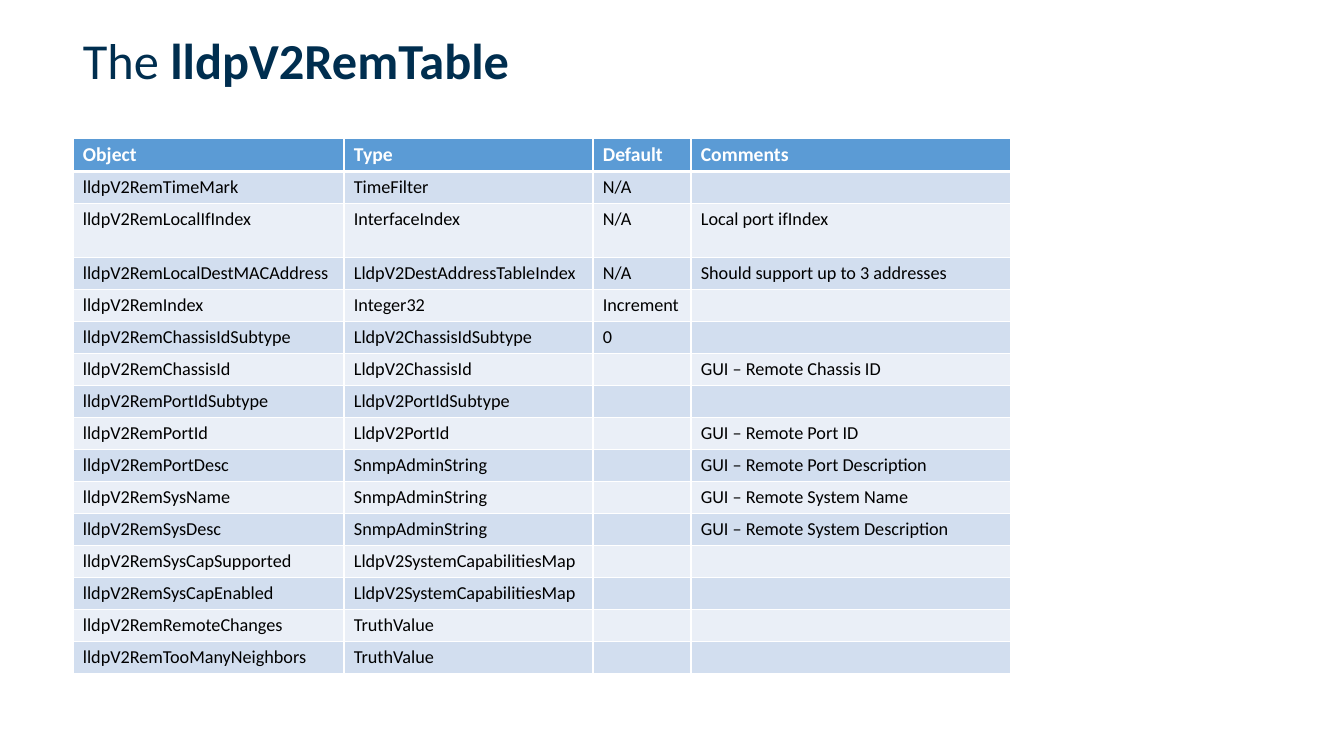
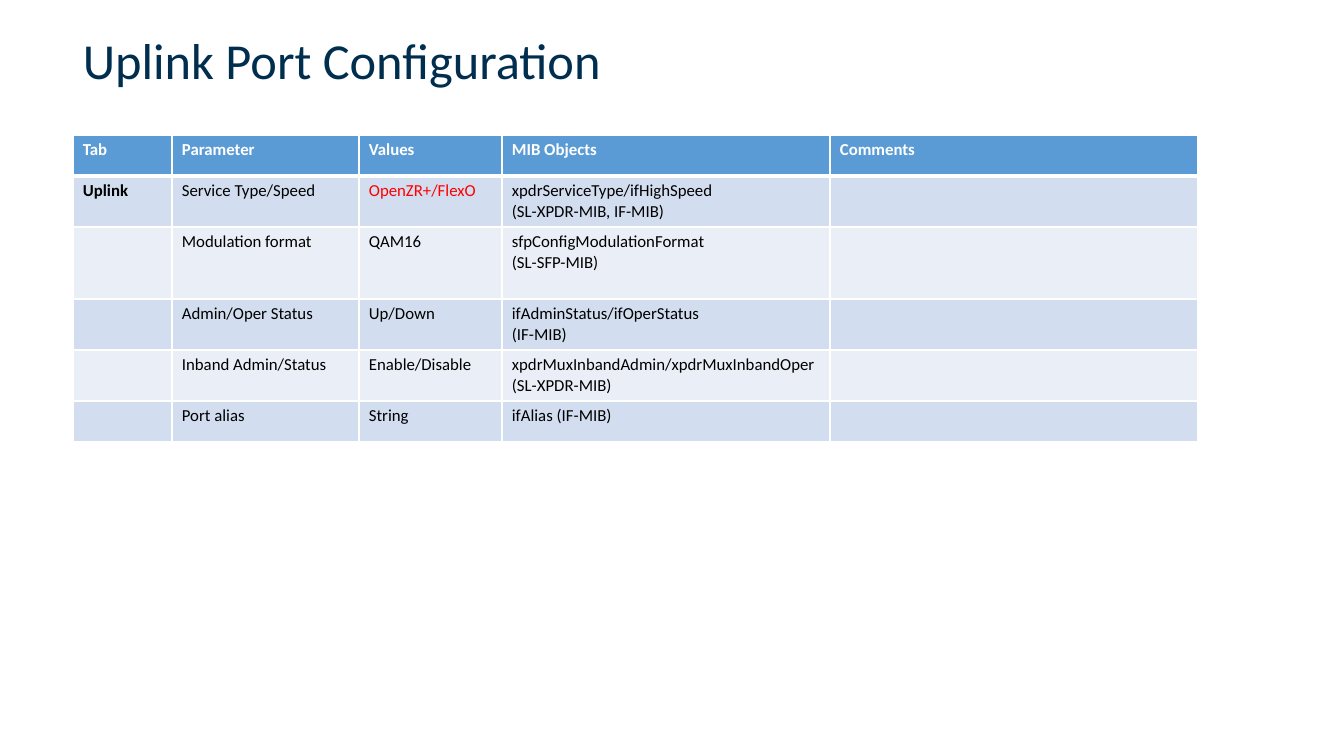
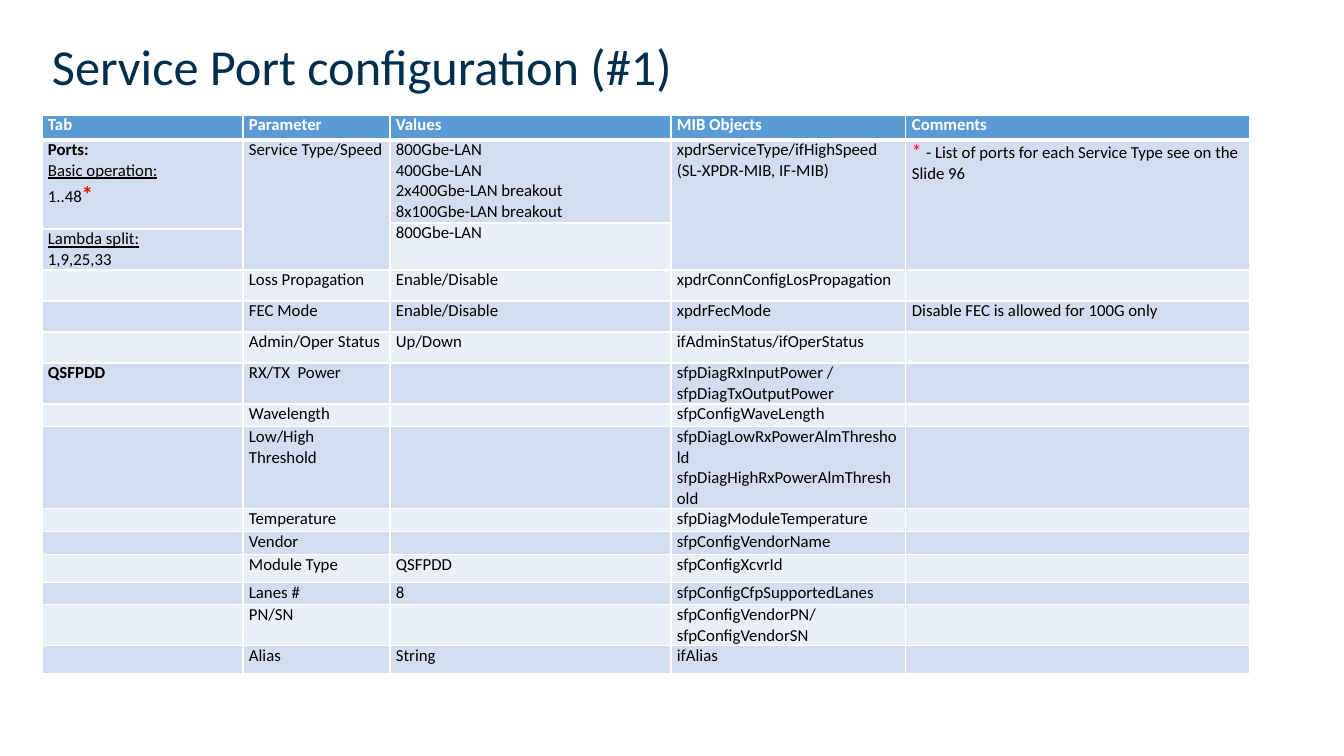
from lxml import etree
from pptx import Presentation
from pptx.dml.color import RGBColor
from pptx.enum.text import MSO_ANCHOR
from pptx.oxml.ns import qn
from pptx.util import Pt

# Shared style
FONT = "Calibri"
NAVY = RGBColor(0x00, 0x2E, 0x4F)
WHITE = RGBColor(0xFF, 0xFF, 0xFF)
BLACK = RGBColor(0x00, 0x00, 0x00)
RED = RGBColor(0xFF, 0x00, 0x00)
HEADER_BLUE = RGBColor(0x5B, 0x9B, 0xD5)
BANDS = (RGBColor(0xEA, 0xEF, 0xF7), RGBColor(0xD2, 0xDE, 0xEF))

SLIDE_WIDTH, SLIDE_HEIGHT = 1344, 756
TITLE_WIDTH, TITLE_SIZE = 1103, 36
EMU_PER_PX = 12192000 / SLIDE_WIDTH

# Table contents: a cell is a string (one paragraph a line)
# or a list of paragraphs, each a list of (text, format) runs
REMOTE_ROWS = [
    ("Object", "Type", "Default", "Comments"),
    ("lldpV2RemTimeMark", "TimeFilter", "N/A", ""),
    ("lldpV2RemLocalIfIndex", "InterfaceIndex", "N/A", "Local port ifIndex"),
    ("lldpV2RemLocalDestMACAddress", "LldpV2DestAddressTableIndex", "N/A",
     "Should support up to 3 addresses"),
    ("lldpV2RemIndex", "Integer32", "Increment", ""),
    ("lldpV2RemChassisIdSubtype", "LldpV2ChassisIdSubtype", "0", ""),
    ("lldpV2RemChassisId", "LldpV2ChassisId", "", "GUI – Remote Chassis ID"),
    ("lldpV2RemPortIdSubtype", "LldpV2PortIdSubtype", "", ""),
    ("lldpV2RemPortId", "LldpV2PortId", "", "GUI – Remote Port ID"),
    ("lldpV2RemPortDesc", "SnmpAdminString", "", "GUI – Remote Port Description"),
    ("lldpV2RemSysName", "SnmpAdminString", "", "GUI – Remote System Name"),
    ("lldpV2RemSysDesc", "SnmpAdminString", "", "GUI – Remote System Description"),
    ("lldpV2RemSysCapSupported", "LldpV2SystemCapabilitiesMap", "", ""),
    ("lldpV2RemSysCapEnabled", "LldpV2SystemCapabilitiesMap", "", ""),
    ("lldpV2RemRemoteChanges", "TruthValue", "", ""),
    ("lldpV2RemTooManyNeighbors", "TruthValue", "", ""),
]

CONFIG_HEADER = ("Tab", "Parameter", "Values", "MIB Objects", "Comments")

UPLINK_ROWS = [
    CONFIG_HEADER,
    ([[("Uplink", {"bold": True})]], "Service Type/Speed",
     [[("OpenZR+/FlexO", {"color": RED})]],
     "xpdrServiceType/ifHighSpeed\n(SL-XPDR-MIB, IF-MIB)", ""),
    ("", "Modulation format", "QAM16", "sfpConfigModulationFormat\n(SL-SFP-MIB)", ""),
    ("", "Admin/Oper Status", "Up/Down", "ifAdminStatus/ifOperStatus\n(IF-MIB)", ""),
    ("", "Inband Admin/Status", "Enable/Disable",
     "xpdrMuxInbandAdmin/xpdrMuxInbandOper\n(SL-XPDR-MIB)", ""),
    ("", "Port alias", "String", "ifAlias (IF-MIB)", ""),
]

BASIC_PORTS = [
    [("Ports:", {"bold": True})],
    [("Basic operation:", {"underline": True})],
    [("1..48", {}), ("*", {"size": 16, "bold": True, "color": RED})],
]
LAMBDA_PORTS = [[("Lambda split:", {"underline": True})], [("1,9,25,33", {})]]
PORTS_NOTE = [[("* ", {"size": 14, "color": RED}),
               ("- List of ports for each Service Type see on the Slide 96", {})]]

SERVICE_ROWS = [
    CONFIG_HEADER,
    (BASIC_PORTS, "Service Type/Speed",
     "800Gbe-LAN\n400Gbe-LAN\n2x400Gbe-LAN breakout\n8x100Gbe-LAN breakout",
     "xpdrServiceType/ifHighSpeed\n(SL-XPDR-MIB, IF-MIB)", PORTS_NOTE),
    ("", "", "800Gbe-LAN", "", ""),
    (LAMBDA_PORTS, "", "", "", ""),
    ("", "Loss Propagation", "Enable/Disable", "xpdrConnConfigLosPropagation", ""),
    ("", "FEC Mode", "Enable/Disable", "xpdrFecMode",
     "Disable FEC is allowed for 100G only"),
    ("", "Admin/Oper Status", "Up/Down", "ifAdminStatus/ifOperStatus", ""),
    ([[("QSFPDD", {"bold": True})]], "RX/TX  Power", "",
     "sfpDiagRxInputPower / sfpDiagTxOutputPower", ""),
    ("", "Wavelength", "", "sfpConfigWaveLength", ""),
    ("", "Low/High Threshold", "",
     "sfpDiagLowRxPowerAlmThreshold sfpDiagHighRxPowerAlmThreshold", ""),
    ("", "Temperature", "", "sfpDiagModuleTemperature", ""),
    ("", "Vendor", "", "sfpConfigVendorName", ""),
    ("", "Module Type", "QSFPDD", "sfpConfigXcvrId", ""),
    ("", "Lanes #", "8", "sfpConfigCfpSupportedLanes", ""),
    ("", "PN/SN", "", "sfpConfigVendorPN/sfpConfigVendorSN", ""),
    ("", "Alias", "String", "ifAlias", ""),
]
# (first row, last row, column) of cells joined downwards
SERVICE_SPANS = [(1, 2, 0), (1, 3, 1), (2, 3, 2), (1, 3, 3), (1, 3, 4)]


def px(length):
    return round(length * EMU_PER_PX)


def write(frame, text, **base):
    """Fill a text frame; each run may override the base format."""
    if isinstance(text, str):
        text = [[(line, {})] for line in text.split("\n")]
    for index, runs in enumerate(text):
        paragraph = frame.paragraphs[0] if index == 0 else frame.add_paragraph()
        for words, changes in runs:
            look = {"bold": False, "underline": False, **base, **changes}
            if not words:
                # An empty cell still needs its line height
                end = etree.SubElement(paragraph._p, qn("a:endParaRPr"))
                end.set("sz", str(look["size"] * 100))
                continue
            run = paragraph.add_run()
            run.text = words
            run.font.name = FONT
            run.font.size = Pt(look["size"])
            run.font.bold = look["bold"]
            run.font.underline = look["underline"]
            run.font.color.rgb = look["color"]


def add_title(slide, text, left, top, height):
    title = slide.shapes.add_textbox(px(left), px(top), px(TITLE_WIDTH), px(height))
    frame = title.text_frame
    frame.word_wrap = True
    frame.vertical_anchor = MSO_ANCHOR.MIDDLE
    write(frame, text, size=TITLE_SIZE, color=NAVY)


def set_borders(cell, top=1, bottom=1):
    """White borders, widths in points; they stand before the fill."""
    properties = cell._tc.get_or_add_tcPr()
    sides = (("L", 1), ("R", 1), ("T", top), ("B", bottom))
    for index, (side, width) in enumerate(sides):
        line = etree.Element(qn(f"a:ln{side}"), w=str(Pt(width)))
        fill = etree.SubElement(line, qn("a:solidFill"))
        etree.SubElement(fill, qn("a:srgbClr"), val=str(WHITE))
        properties.insert(index, line)


def add_grid(slide, rows, left, top, widths, heights,
             size, header_size, margins=(10, 5), spans=()):
    table = slide.shapes.add_table(
        len(rows), len(widths), px(left), px(top),
        px(sum(widths)), px(sum(heights))).table
    table.horz_banding = False
    for column, width in zip(table.columns, widths):
        column.width = px(width)
    for row, height in zip(table.rows, heights):
        row.height = px(height)
    for first, last, column in spans:
        table.cell(first, column).merge(table.cell(last, column))

    side, edge = (px(margin) for margin in margins)
    for r, contents in enumerate(rows):
        header = r == 0
        for c, text in enumerate(contents):
            cell = table.cell(r, c)
            cell.margin_left = cell.margin_right = side
            cell.margin_top = cell.margin_bottom = edge
            cell.fill.solid()
            cell.fill.fore_color.rgb = HEADER_BLUE if header else BANDS[r % 2]
            set_borders(cell, top=3 if r == 1 else 1, bottom=3 if header else 1)
            write(cell.text_frame, text, bold=header,
                  size=header_size if header else size,
                  color=WHITE if header else BLACK)


def main():
    deck = Presentation()
    deck.slide_width, deck.slide_height = px(SLIDE_WIDTH), px(SLIDE_HEIGHT)
    blank = deck.slide_layouts[6]

    # Remote table objects
    remote = deck.slides.add_slide(blank)
    add_title(remote, [[("The ", {}), ("lldpV2RemTable", {"bold": True})]], 73, 9, 100)
    add_grid(remote, REMOTE_ROWS, 73, 138, [271, 249, 98, 320],
             [33, 32, 54] + [32] * 13, size=13, header_size=14)

    # Uplink port
    uplink = deck.slides.add_slide(blank)
    add_title(uplink, "Uplink Port Configuration", 73, 9, 100)
    add_grid(uplink, UPLINK_ROWS, 73, 135, [99, 187, 143, 328, 368],
             [41, 51, 72, 51, 51, 41], size=12, header_size=12)

    # Service port
    service = deck.slides.add_slide(blank)
    add_title(service, "Service Port configuration (#1)", 42, 27, 76)
    add_grid(service, SERVICE_ROWS, 42, 115, [201, 147, 281, 235, 344],
             [25, 83, 6, 41, 31, 31, 31, 41, 23, 82, 23, 23, 28, 22, 41, 28],
             size=12, header_size=12, margins=(6, 0), spans=SERVICE_SPANS)

    deck.save("out.pptx")


if __name__ == "__main__":
    main()
